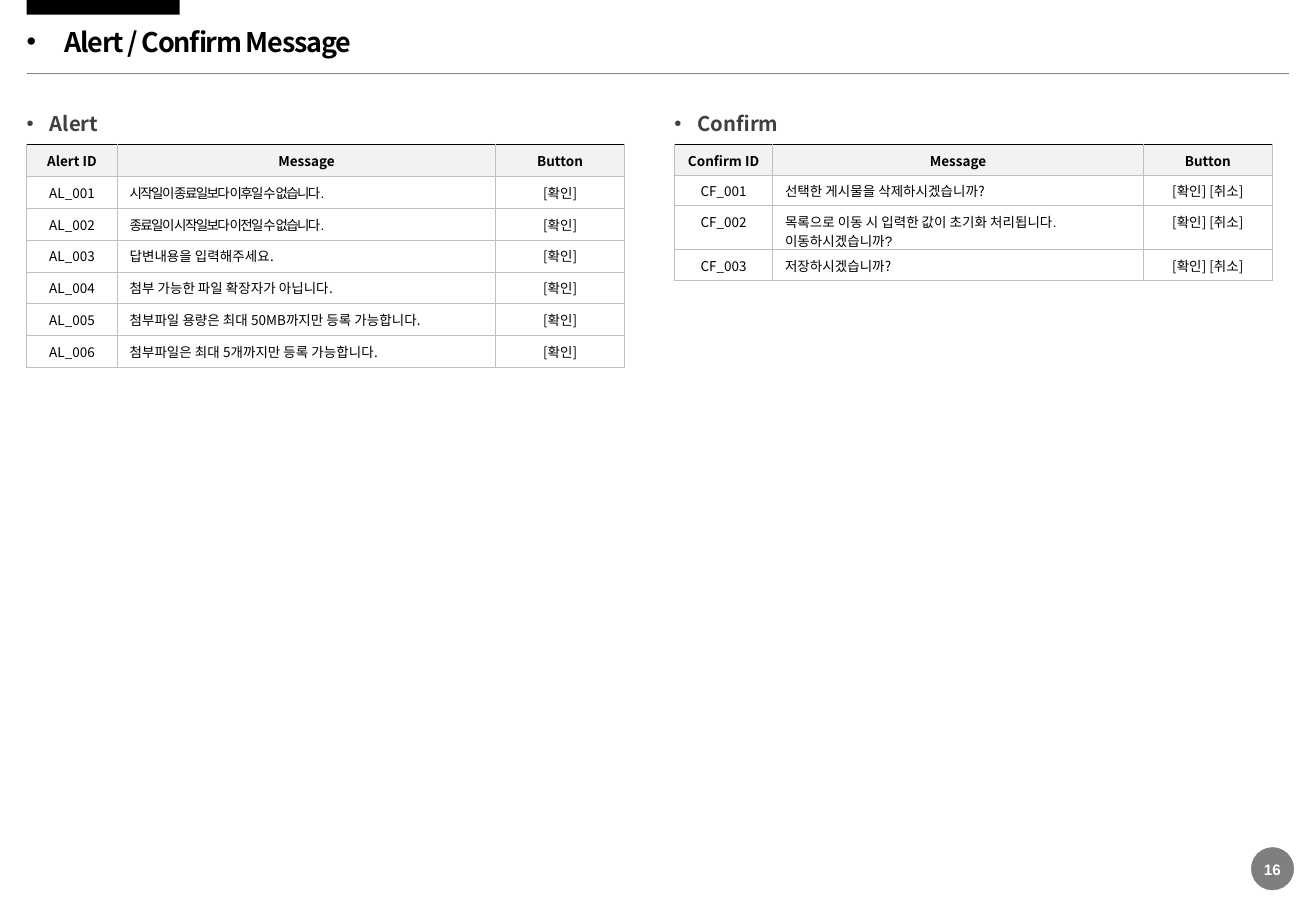
import dataclasses

import lxml.etree
import pptx
import pptx.dml.color
import pptx.enum.shapes
import pptx.enum.text
import pptx.oxml.ns
import pptx.util

SHAPE = pptx.enum.shapes.MSO_SHAPE
ALIGN = pptx.enum.text.PP_ALIGN
ANCHOR = pptx.enum.text.MSO_ANCHOR
qn = pptx.oxml.ns.qn

SLIDE_W = pptx.util.Inches(10.83)
SLIDE_H = pptx.util.Inches(7.5)


@dataclasses.dataclass(frozen=True)
class Theme:
    font: str = "Noto Sans CJK KR"
    latin: str = "Arial"
    ink: str = "000000"
    heading: str = "404040"
    rule: str = "808080"
    grid: str = "BFBFBF"
    header: str = "F2F2F2"
    white: str = "FFFFFF"
    title_size: float = 16
    heading_size: float = 12
    number_size: float = 9
    cell_size: float = 8


THEME = Theme()

# Shares of the slide, in percent
LEFT, RIGHT = 2.03, 97.97
ALERT_X, CONFIRM_X = LEFT, 51.25
HEADING_Y, TABLE_Y = 12.27, 15.87
ALERT_ROW, CONFIRM_ROW, TWO_LINE_ROW = 3.5, 3.33, 4.85

ALERT_COLS = (6.9, 28.74, 9.79)
ALERT_MESSAGES = (
    "시작일이 종료일보다 이후일 수 없습니다.",
    "종료일이 시작일보다 이전일 수 없습니다.",
    "답변내용을 입력해주세요.",
    "첨부 가능한 파일 확장자가 아닙니다.",
    "첨부파일 용량은 최대 50MB까지만 등록 가능합니다.",
    "첨부파일은 최대 5개까지만 등록 가능합니다.",
)
CONFIRM_COLS = (7.48, 28.16, 9.79)
CONFIRM_MESSAGES = (
    "선택한 게시물을 삭제하시겠습니까?",
    "목록으로 이동 시 입력한 값이 초기화 처리됩니다.\v이동하시겠습니까?",
    "저장하시겠습니까?",
)


def across(percent):
    return int(SLIDE_W * percent / 100)


def down(percent):
    return int(SLIDE_H * percent / 100)


def box(x, y, w, h):
    return across(x), down(y), across(w), down(h)


def rgb(color):
    return pptx.dml.color.RGBColor.from_string(color)


def style(p, size, color, bold=False, font=THEME.font, spacing=0):
    """Format a paragraph, with the theme font for its Korean text."""
    p.font.size = pptx.util.Pt(size)
    p.font.bold = bold
    p.font.color.rgb = rgb(color)
    p.font.name = font
    props = p.font._element
    lxml.etree.SubElement(props, qn("a:ea"), typeface=THEME.font)
    if spacing:
        props.set("spc", str(int(spacing * 100)))


def add_bullet(p, indent):
    props = p._p.get_or_add_pPr()
    width = pptx.util.Inches(indent)
    props.set("marL", str(width))
    props.set("indent", str(-width))
    run_props = props.find(qn("a:defRPr"))
    run_props.addprevious(lxml.etree.Element(qn("a:buFont"), typeface=THEME.latin))
    run_props.addprevious(lxml.etree.Element(qn("a:buChar"), char="•"))


def clear_margins(tf):
    tf.margin_left = tf.margin_top = tf.margin_right = tf.margin_bottom = 0


def set_title(s, text):
    sp = s.shapes.title
    sp.left, sp.top, sp.width, sp.height = box(LEFT, 2.7, 60, 4.13)
    tf = sp.text_frame
    clear_margins(tf)
    tf.vertical_anchor = ANCHOR.MIDDLE
    tf.auto_size = pptx.enum.text.MSO_AUTO_SIZE.NONE
    p = tf.paragraphs[0]
    p.text = text
    p.alignment = ALIGN.LEFT
    p.line_spacing = 0.9
    p.space_before = pptx.util.Pt(8.1)
    style(p, THEME.title_size, THEME.ink, bold=True, spacing=-0.7)
    add_bullet(p, 0.31)


def add_label(s, text, place, size, color, font=THEME.font):
    tf = s.shapes.add_textbox(*box(*place)).text_frame
    clear_margins(tf)
    tf.word_wrap = True
    tf.auto_size = pptx.enum.text.MSO_AUTO_SIZE.SHAPE_TO_FIT_TEXT
    p = tf.paragraphs[0]
    p.text = text
    style(p, size, color, bold=True, font=font)
    return p


def add_heading(s, text, x):
    p = add_label(s, text, (x, HEADING_Y, 8.4, 2.67),
                  THEME.heading_size, THEME.heading)
    add_bullet(p, 0.19)


def add_block(s, kind, place, color):
    sp = s.shapes.add_shape(kind, *box(*place))
    sp.shadow.inherit = False
    sp.fill.solid()
    sp.fill.fore_color.rgb = rgb(color)
    sp.line.fill.background()
    return sp


def add_rule(s, y):
    line = s.shapes.add_connector(pptx.enum.shapes.MSO_CONNECTOR.STRAIGHT,
                                  across(LEFT), down(y), across(RIGHT), down(y))
    line.line.color.rgb = rgb(THEME.rule)
    line.line.width = pptx.util.Pt(0.25)
    lxml.etree.SubElement(line._element.spPr, qn("a:effectLst"))


def add_page_number(s, number):
    sp = add_block(s, SHAPE.OVAL, (95.08, 93.03, 3.23, 4.67), THEME.ink)
    color = sp.fill._xPr.find(qn("a:solidFill"))[0]
    lxml.etree.SubElement(color, qn("a:alpha"), val="50000")
    sp.line.color.rgb = rgb(THEME.rule)
    sp.line.width = pptx.util.Pt(0.25)
    p = add_label(s, number, (95.9, 94.4, 1.57, 2),
                  THEME.number_size, THEME.white, THEME.latin)
    p.alignment = ALIGN.CENTER


def set_borders(cell, top_color, top_width):
    props = cell._tc.get_or_add_tcPr()
    for i, side in enumerate("LRTB"):
        color, width = (top_color, top_width) if side == "T" else (THEME.grid, 0.5)
        line = lxml.etree.Element(qn(f"a:ln{side}"), w=str(pptx.util.Pt(width)))
        fill = lxml.etree.SubElement(line, qn("a:solidFill"))
        lxml.etree.SubElement(fill, qn("a:srgbClr"), val=color)
        props.insert(i, line)


def fill_cell(cell, text, header, centred, font, spacing):
    p = cell.text_frame.paragraphs[0]
    p.text = text
    p.alignment = ALIGN.CENTER if centred else ALIGN.LEFT
    style(p, THEME.cell_size, THEME.ink, header, font, spacing)
    if header:
        cell.fill.solid()
        cell.fill.fore_color.rgb = rgb(THEME.header)
        set_borders(cell, THEME.ink, 1)
    else:
        cell.fill.background()
        set_borders(cell, THEME.grid, 0.5)


def add_message_table(s, x, cols, name, prefix, messages, button,
                      row_h, latin_rows, spacing=0):
    """Add a table of numbered messages; latin_rows use the Latin font."""
    rows = [(f"{name} ID", "Message", "Button")]
    rows += [(f"{prefix}_{i:03}", m, button) for i, m in enumerate(messages, 1)]
    heights = [TWO_LINE_ROW if "\v" in row[1] else row_h for row in rows]
    place = box(x, TABLE_Y, sum(cols), sum(heights))
    table = s.shapes.add_table(len(rows), len(cols), *place).table
    table.first_row = table.horz_banding = False
    for column, width in zip(table.columns, cols):
        column.width = across(width)
    for r, row in enumerate(rows):
        table.rows[r].height = down(heights[r])
        for c, text in enumerate(row):
            latin = c == 1 and r in latin_rows
            fill_cell(table.cell(r, c), text, r == 0, r == 0 or c != 1,
                      THEME.latin if latin else THEME.font,
                      spacing if latin else 0)


def main():
    prs = pptx.Presentation()
    prs.slide_width, prs.slide_height = SLIDE_W, SLIDE_H
    s = prs.slides.add_slide(prs.slide_layouts.get_by_name("Title Only"))
    add_block(s, SHAPE.RECTANGLE, (LEFT, 0, 11.63, 1.6), THEME.ink)
    add_rule(s, 8)
    set_title(s, "Alert / Confirm Message")
    add_heading(s, "Alert", ALERT_X)
    add_message_table(s, ALERT_X, ALERT_COLS, "Alert", "AL", ALERT_MESSAGES,
                      "[확인]", ALERT_ROW, latin_rows=(1, 2), spacing=-1)
    add_heading(s, "Confirm", CONFIRM_X)
    add_message_table(s, CONFIRM_X, CONFIRM_COLS, "Confirm", "CF", CONFIRM_MESSAGES,
                      "[확인] [취소]", CONFIRM_ROW, latin_rows=(2,))
    add_page_number(s, "16")
    prs.save("out.pptx")


if __name__ == "__main__":
    main()
